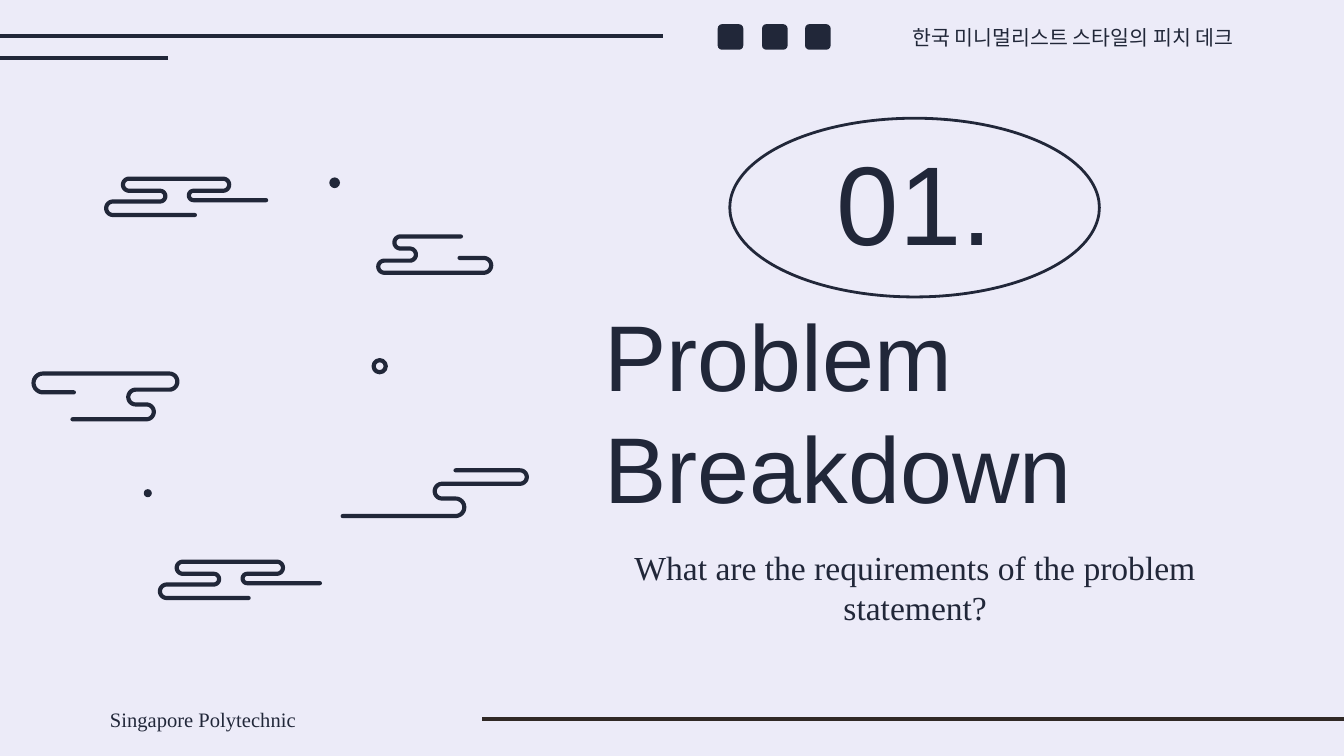
import math

from lxml import etree
from pptx import Presentation, util as u
from pptx.dml.color import RGBColor
from pptx.enum import shapes, text
from pptx.oxml.ns import qn

INK = "212739"
BROWN = "302926"
BACKGROUND = "ECEBF8"
BEND_STEPS = 16


def colour(hex_string):
    return RGBColor.from_string(hex_string)


def cloud_points(start, bends, end_x):
    """Trace level strokes joined by half-circle bends, each given as (x, next y)."""
    x, y = start
    points = [start]
    for bend_x, next_y in bends:
        side = math.copysign(1, bend_x - x)
        radius = abs(next_y - y) / 2
        middle = (y + next_y) / 2
        for step in range(BEND_STEPS + 1):
            angle = math.pi * step / BEND_STEPS
            points.append((bend_x + side * radius * math.sin(angle),
                           middle + (y - middle) * math.cos(angle)))
        x, y = bend_x, next_y
    return points + [(end_x, y)]


class SlideBuilder:
    def __init__(self, slide, ink=INK, stroke=2.25):
        self.slide = slide
        self.ink = ink
        self.stroke = stroke

    def line(self, start_x, end_x, y, line_colour=None):
        connector = self.slide.shapes.add_connector(
            shapes.MSO_CONNECTOR.STRAIGHT,
            u.Inches(start_x), u.Inches(y), u.Inches(end_x), u.Inches(y))
        connector.line.color.rgb = colour(line_colour or self.ink)
        connector.line.width = u.Pt(self.stroke)
        etree.SubElement(connector._element.spPr, qn("a:effectLst"))

    def outline(self, shape, width):
        shape.shadow.inherit = False
        shape.fill.background()
        shape.line.color.rgb = colour(self.ink)
        shape.line.width = u.Pt(width)

    def add_preset(self, preset, box):
        return self.slide.shapes.add_shape(preset, *map(u.Inches, box))

    def ring(self, box, width):
        self.outline(self.add_preset(shapes.MSO_SHAPE.OVAL, box), width)

    def solid(self, preset, box):
        shape = self.add_preset(preset, box)
        shape.shadow.inherit = False
        shape.fill.solid()
        shape.fill.fore_color.rgb = colour(self.ink)
        shape.line.fill.background()

    def cloud(self, start, bends, end_x, shift=(0, 0)):
        points = [(u.Inches(x + shift[0]), u.Inches(y + shift[1]))
                  for x, y in cloud_points(start, bends, end_x)]
        builder = self.slide.shapes.build_freeform(*points[0])
        builder.add_line_segments(points[1:], close=False)
        shape = builder.convert_to_shape()
        self.outline(shape, self.stroke)
        shape._element.spPr.find(qn("a:ln")).set("cap", "rnd")

    def text(self, box, words, size, font, align=text.PP_ALIGN.LEFT,
             anchor=text.MSO_ANCHOR.MIDDLE, top_inset=0.1):
        frame = self.slide.shapes.add_textbox(*map(u.Inches, box)).text_frame
        frame.word_wrap = True
        frame.vertical_anchor = anchor
        frame.margin_left = frame.margin_right = frame.margin_bottom = u.Inches(0.1)
        frame.margin_top = u.Inches(top_inset)
        paragraph = frame.paragraphs[0]
        paragraph.text = words
        paragraph.alignment = align
        paragraph.font.name = font
        paragraph.font.size = u.Pt(size)
        paragraph.font.color.rgb = colour(self.ink)


def main():
    presentation = Presentation()
    presentation.slide_width = u.Inches(10)
    presentation.slide_height = presentation.slide_width * 9 // 16
    slide = presentation.slides.add_slide(presentation.slide_layouts[6])
    slide.background.fill.solid()
    slide.background.fill.fore_color.rgb = colour(BACKGROUND)
    build = SlideBuilder(slide)

    build.line(4.93, -0.1, 0.27)
    build.line(1.25, -0.1, 0.43)
    build.line(3.59, 10.84, 5.35, BROWN)

    build.ring((5.43, 0.88, 2.75, 1.33), 1.5)
    build.text((4.4, 2.37, 4.82, 1.36), "Problem Breakdown", 50, "Arial")
    build.text((5.43, 1.08, 2.75, 0.92), "01.", 60, "Arial",
               text.PP_ALIGN.CENTER, top_inset=0)
    build.text((4.4, 3.97, 4.82, 0.78),
               "What are the requirements of the problem statement?",
               18, "Times New Roman", text.PP_ALIGN.CENTER, text.MSO_ANCHOR.TOP)

    for shift in ((0, 0), (0.4, 2.85)):
        build.cloud((1.45, 1.6),
                    [(0.84, 1.5), (1.19, 1.42), (0.96, 1.33), (1.66, 1.42), (1.44, 1.49)],
                    1.98, shift)
    build.cloud((3.43, 1.76), [(2.98, 1.85), (3.05, 1.94), (2.86, 2.03), (3.6, 1.92)], 3.42)
    build.cloud((0.55, 2.92), [(0.32, 2.78), (1.26, 2.9), (1.01, 3.01), (1.09, 3.12)], 0.54)
    build.cloud((2.55, 3.84), [(3.39, 3.71), (3.29, 3.6), (3.87, 3.5)], 3.39)

    build.solid(shapes.MSO_SHAPE.OVAL, (2.45, 1.32, 0.08, 0.08))
    build.ring((2.78, 2.68, 0.09, 0.09), 2.25)
    build.solid(shapes.MSO_SHAPE.OVAL, (1.07, 3.64, 0.06, 0.06))

    for icon_left in (5.34, 5.67, 5.99):
        build.solid(shapes.MSO_SHAPE.ROUNDED_RECTANGLE, (icon_left, 0.18, 0.19, 0.19))

    build.text((6.35, 0.12, 2.93, 0.32), "한국 미니멀리스트 스타일의 피치 데크",
               11, "TeX Gyre Adventor", text.PP_ALIGN.RIGHT)
    build.text((0.72, 5.19, 2.93, 0.32), "Singapore Polytechnic",
               11, "Times New Roman")

    presentation.save("out.pptx")


if __name__ == "__main__":
    main()
